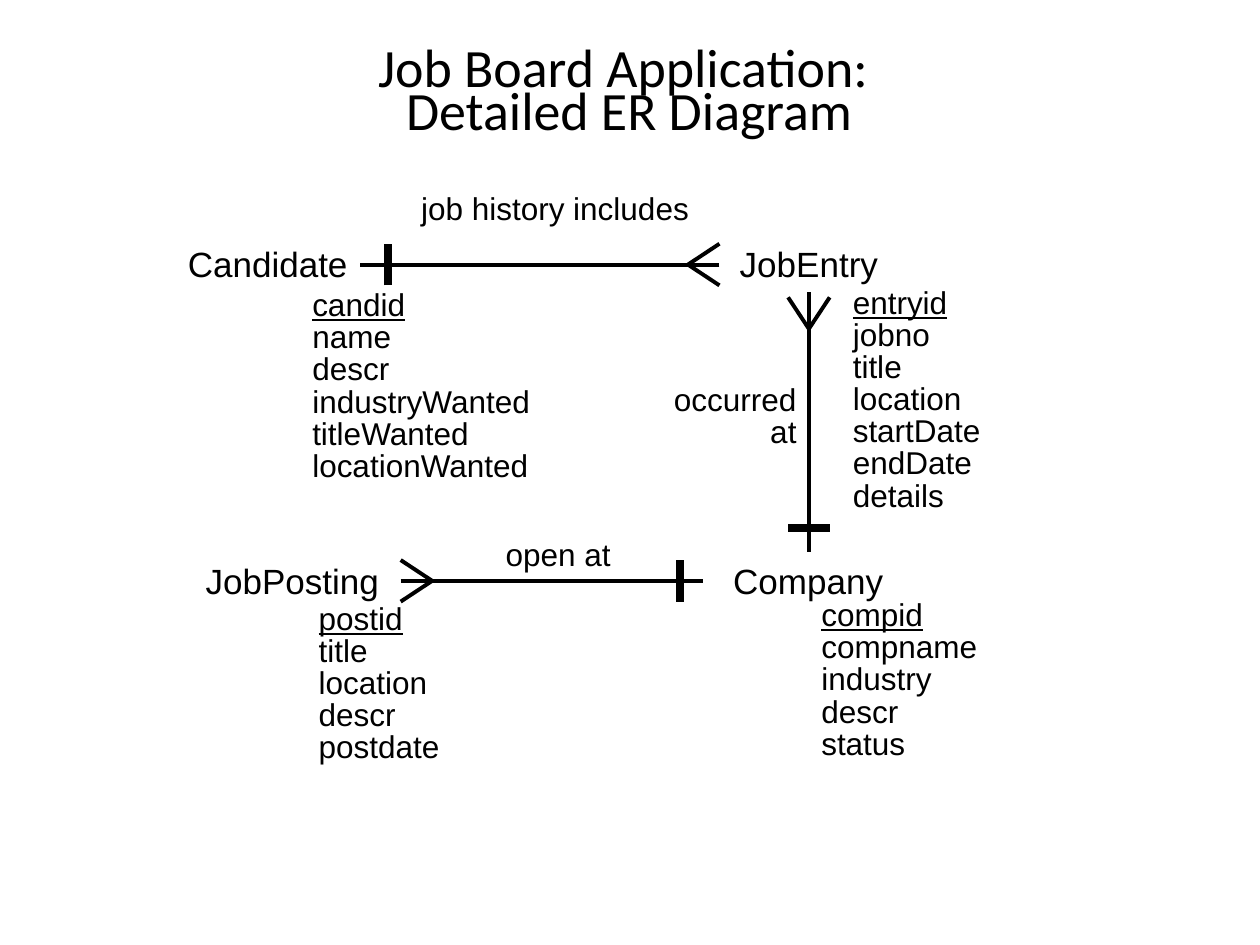
from copy import deepcopy

from lxml import etree
from pptx import Presentation
from pptx.dml.color import RGBColor
from pptx.enum.shapes import MSO_CONNECTOR, MSO_SHAPE
from pptx.enum.text import MSO_ANCHOR, MSO_AUTO_SIZE, PP_ALIGN
from pptx.oxml.ns import qn
from pptx.util import Inches, Pt

BLACK = RGBColor(0x00, 0x00, 0x00)
WHITE = RGBColor(0xFF, 0xFF, 0xFF)
LEFT, CENTER, RIGHT = PP_ALIGN.LEFT, PP_ALIGN.CENTER, PP_ALIGN.RIGHT
TOP, MIDDLE = MSO_ANCHOR.TOP, MSO_ANCHOR.MIDDLE
NO_AUTOFIT = MSO_AUTO_SIZE.NONE
RECTANGLE, STRAIGHT = MSO_SHAPE.RECTANGLE, MSO_CONNECTOR.STRAIGHT
TITLE_ONLY = 5
FOOT_LENGTH, HALF_SPREAD = 0.25, 0.165

ENTITIES = [
    ("Candidate", (1.38, 1.87, 1.49, 0.45), (2.38, 2.26, 2.29, 1.63),
     ["candid", "name", "descr", "industryWanted", "titleWanted", "locationWanted"]),
    ("JobPosting", (1.46, 4.33, 1.72, 0.56), (2.43, 4.75, 1.72, 1.38),
     ["postid", "title", "location", "descr", "postdate"]),
    ("JobEntry", (5.71, 1.87, 1.42, 0.45), (6.67, 2.24, 1.33, 1.89),
     ["entryid", "jobno", "title", "location", "startDate", "endDate", "details"]),
    ("Company", (5.58, 4.38, 1.67, 0.45), (6.42, 4.72, 1.83, 1.38),
     ["compid", "compname", "industry", "descr", "status"]),
]
RELATIONSHIPS = [
    ("job history includes", (3.24, 1.5, 2.33, 0.61), CENTER, (5.71, 2.1), (2.86, 2.1), 0, 0.22),
    ("open at", (3.57, 4.24, 1.72, 0.36), CENTER, (3.18, 4.61), (5.58, 4.61), 0, 0.18),
    ("occurred\vat", (4.93, 3.01, 1.49, 0.61), RIGHT, (6.42, 2.32), (6.42, 4.38), 0.04, 0.19),
]


def write_text(shape, lines, size=18, font="Arial", align=LEFT, anchor=TOP,
               spacing=0.85, wrap=True, underline_first=False):
    """Fill a shape with one formatted paragraph per line."""
    frame = shape.text_frame
    frame.auto_size = NO_AUTOFIT
    frame.word_wrap = wrap
    frame.vertical_anchor = anchor
    for index, line in enumerate(lines):
        para = frame.add_paragraph() if index else frame.paragraphs[0]
        para.text = line
        para.alignment = align
        para.line_spacing = spacing
        para.space_before = Pt(0)
        for span in para.runs:
            span.font.size = Pt(size)
            span.font.name = font
            span.font.color.rgb = BLACK
            if underline_first and index == 0:
                span.font.underline = True
        for line_break in para._p.findall(qn("a:br")):
            line_break.append(deepcopy(para.runs[0]._r.rPr))


def add_text(page, box, lines, **text_format):
    """Place a text box with formatted lines."""
    shape = page.shapes.add_textbox(*map(Inches, box))
    write_text(shape, lines, **text_format)


def add_line(page, start, end, width=2.25):
    """Draw a straight black line without shadow."""
    line = page.shapes.add_connector(STRAIGHT, *map(Inches, (*start, *end)))
    line.line.color.rgb = BLACK
    line.line.width = Pt(width)
    etree.SubElement(line._element.spPr, qn("a:effectLst"))


def add_title(page, box, text):
    """Move and fill the title placeholder."""
    title = page.shapes.title
    title.left, title.top, title.width, title.height = map(Inches, box)
    write_text(title, [text], size=30.8, font="Calibri", align=CENTER,
               anchor=MIDDLE, spacing=0.65)


def add_entity(page, name, box, attribute_box, attributes):
    """Draw an entity name with its attributes, the key underlined."""
    shape = page.shapes.add_shape(RECTANGLE, *map(Inches, box))
    shape.shadow.inherit = False
    shape.fill.solid()
    shape.fill.fore_color.rgb = WHITE
    shape.line.fill.background()
    write_text(shape, [name], size=20, align=CENTER, anchor=MIDDLE, spacing=1.0, wrap=False)
    add_text(page, attribute_box, attributes, underline_first=True)


def add_relationship(page, label, label_box, align, many, one, foot_gap, bar_gap):
    """Join the many end, a crow's foot, to the one end, a bar."""
    length = abs(one[0] - many[0]) + abs(one[1] - many[1])
    step_x, step_y = (one[0] - many[0]) / length, (one[1] - many[1]) / length

    def point(along, across=0):
        """Give the point at a distance along and across the line."""
        return (many[0] + along * step_x - across * step_y,
                many[1] + along * step_y + across * step_x)

    add_line(page, many, one)
    for side in (-HALF_SPREAD, HALF_SPREAD):
        add_line(page, point(foot_gap + FOOT_LENGTH), point(foot_gap, side))
    bar = length - bar_gap
    add_line(page, point(bar, -HALF_SPREAD), point(bar, HALF_SPREAD), width=4.5)
    add_text(page, label_box, [label], align=align)


def main():
    """Build and save the diagram slide."""
    deck = Presentation()
    deck.slide_width, deck.slide_height = Inches(10), Inches(7.5)
    page = deck.slides.add_slide(deck.slide_layouts[TITLE_ONLY])
    add_title(page, (0.33, 0.35, 9.33, 0.83), "Job Board Application: \vDetailed ER Diagram")
    for entity in ENTITIES:
        add_entity(page, *entity)
    for relationship in RELATIONSHIPS:
        add_relationship(page, *relationship)
    deck.save("out.pptx")


main()
